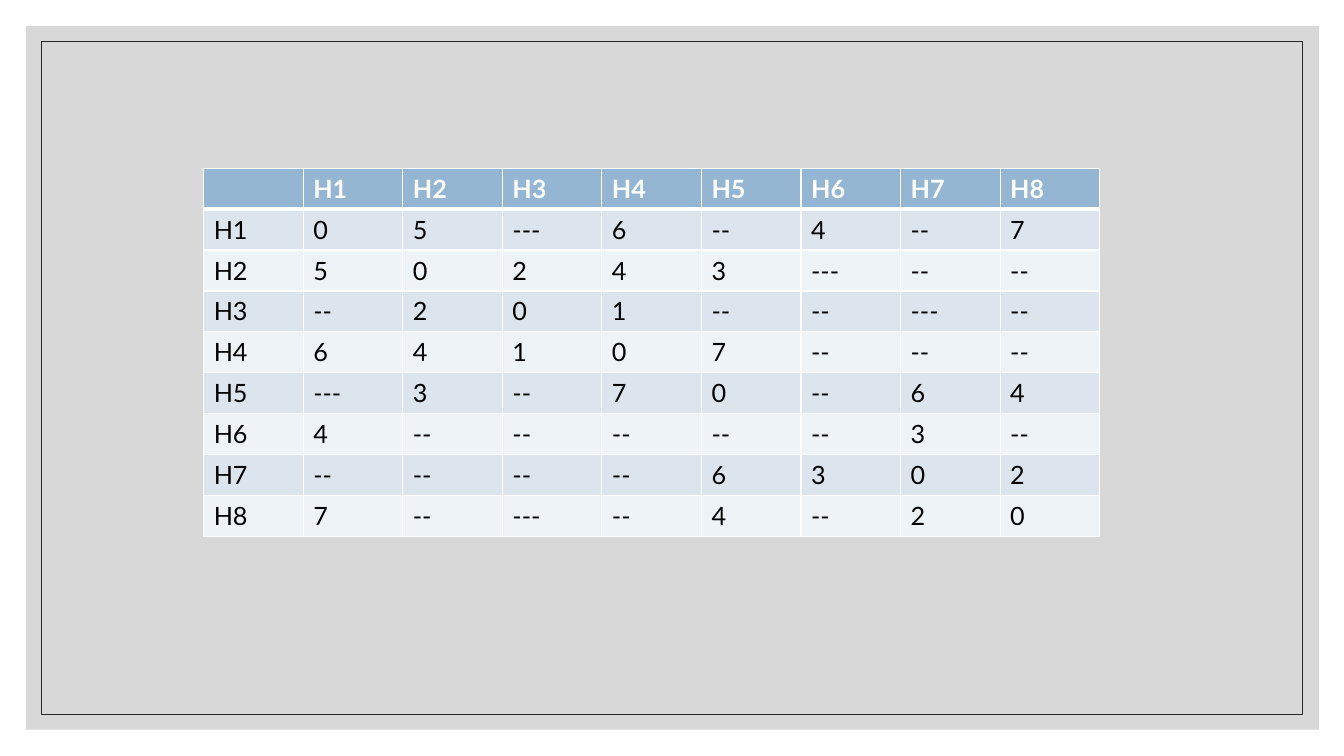
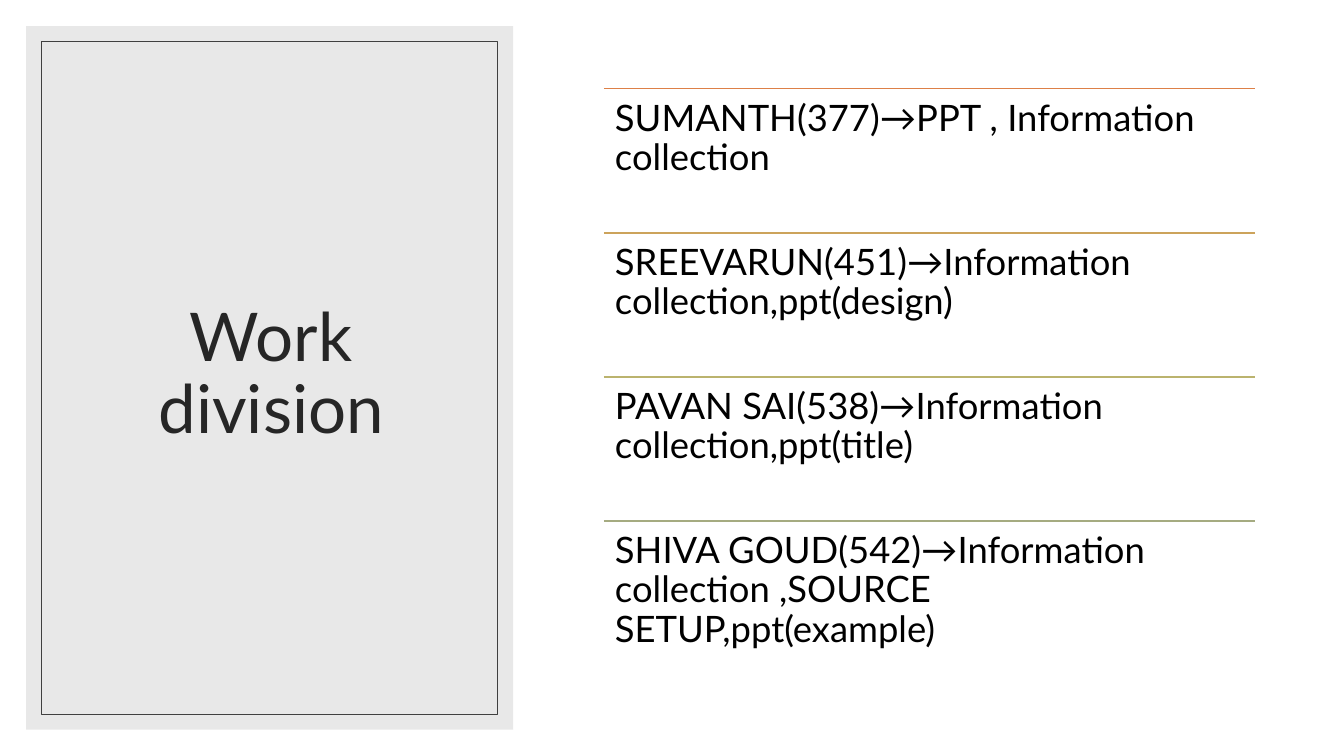
"""Build a distance table slide and a work division slide."""
import lxml.etree
import pptx
import pptx.dml.color
import pptx.enum.shapes
import pptx.enum.text
import pptx.oxml.ns
import pptx.util

Inches = pptx.util.Inches
Pt = pptx.util.Pt
ALIGN = pptx.enum.text.PP_ALIGN
ANCHOR = pptx.enum.text.MSO_ANCHOR
qn = pptx.oxml.ns.qn

FONT = "Lato"
WIDTH, HEIGHT = 13.33, 7.5
COLORS = {
    "white": "FFFFFF",
    "black": "000000",
    "ink": "262626",
    "frame": "404040",
    "backdrop": "BFBFBF",
    "sidebar": "D9D9D9",
    "header": "94B6D2",
    "band_dark": "DCE5EE",
    "band_light": "EEF3F7",
    "orange": "DD8047",
    "gold": "CCA35B",
    "olive": "BBB36E",
    "sage": "A5AB81",
}
DISTANCES = [
    "0 5 --- 6 -- 4 -- 7",
    "5 0 2 4 3 --- -- --",
    "-- 2 0 1 -- -- --- --",
    "6 4 1 0 7 -- -- --",
    "--- 3 -- 7 0 -- 6 4",
    "4 -- -- -- -- -- 3 --",
    "-- -- -- -- 6 3 0 2",
    "7 -- --- -- 4 -- 2 0",
]
TASKS = [
    ("orange", "SUMANTH(377)→PPT , Information collection"),
    ("gold", "SREEVARUN(451)→Information collection,ppt(design)"),
    ("olive", "PAVAN SAI(538)→Information collection,ppt(title)"),
    ("sage", "SHIVA GOUD(542)→Information collection ,SOURCE SETUP,ppt(example)"),
]


def rgb(name):
    return pptx.dml.color.RGBColor.from_string(COLORS[name])


def write(tf, text, size=18, color="black", bold=False, align=ALIGN.LEFT,
          spacing=1.0, after=0):
    p = tf.paragraphs[0]
    p.alignment = align
    p.line_spacing = spacing
    p.space_after = Pt(after)
    r = p.add_run()
    r.text = text
    r.font.name = FONT
    r.font.size = Pt(size)
    r.font.bold = bold
    r.font.color.rgb = rgb(color)


class Deck:
    def __init__(self):
        self.prs = pptx.Presentation()
        self.prs.slide_width = Inches(WIDTH)
        self.prs.slide_height = Inches(HEIGHT)
        self.s = None

    def slide(self):
        self.s = self.prs.slides.add_slide(self.prs.slide_layouts[6])
        fill = self.s.background.fill
        fill.solid()
        fill.fore_color.rgb = rgb("white")

    def rect(self, x, y, w, h, fill=None, alpha=100, line=None):
        sp = self.s.shapes.add_shape(
            pptx.enum.shapes.MSO_SHAPE.RECTANGLE,
            Inches(x), Inches(y), Inches(w), Inches(h))
        sp.shadow.inherit = False
        if fill:
            sp.fill.solid()
            sp.fill.fore_color.rgb = rgb(fill)
            if alpha < 100:
                clr = sp.fill._xPr.find(".//" + qn("a:srgbClr"))
                lxml.etree.SubElement(clr, qn("a:alpha"), val=str(alpha * 1000))
        else:
            sp.fill.background()
        if line:
            sp.line.color.rgb = rgb(line)
            sp.line.width = Pt(0.5)
        else:
            sp.line.fill.background()

    def panel(self, w, fill, line):
        self.rect(0.26, 0.26, w, 6.98, fill=fill, alpha=60)
        self.rect(0.41, 0.41, w - 0.31, 6.68, line=line)

    def text(self, x, y, w, h, text, inset=0.11, anchor=ANCHOR.TOP, **fmt):
        sp = self.s.shapes.add_textbox(Inches(x), Inches(y), Inches(w), Inches(h))
        tf = sp.text_frame
        tf.word_wrap = True
        tf.vertical_anchor = anchor
        tf.margin_left = tf.margin_right = Inches(inset)
        tf.margin_top = tf.margin_bottom = Inches(inset)
        write(tf, text, **fmt)

    def rule(self, x, y, w, color):
        sp = self.s.shapes.add_connector(
            pptx.enum.shapes.MSO_CONNECTOR.STRAIGHT,
            Inches(x), Inches(y), Inches(x + w), Inches(y))
        sp.line.color.rgb = rgb(color)
        sp.line.width = Pt(1)
        lxml.etree.SubElement(sp._element.spPr, qn("a:effectLst"))

    def border(self, cell, **widths):
        tc_pr = cell._tc.get_or_add_tcPr()
        for side in "LRTB":
            ln = lxml.etree.SubElement(
                tc_pr, qn("a:ln" + side), w=str(Pt(widths.get(side, 1))))
            solid = lxml.etree.SubElement(ln, qn("a:solidFill"))
            lxml.etree.SubElement(solid, qn("a:srgbClr"), val=COLORS["white"])

    def table(self, x, y, w, h, rows):
        n_rows, n_cols = len(rows), len(rows[0])
        tbl = self.s.shapes.add_table(
            n_rows, n_cols, Inches(x), Inches(y), Inches(w), Inches(h)).table
        tbl.horz_banding = False
        for i, row in enumerate(rows):
            head = i == 0
            fill = "header" if head else "band_dark" if i % 2 else "band_light"
            for j, value in enumerate(row):
                cell = tbl.cell(i, j)
                self.border(cell, T=3 if i == 1 else 1, B=3 if head else 1)
                cell.fill.solid()
                cell.fill.fore_color.rgb = rgb(fill)
                if value:
                    write(cell.text_frame, value, bold=head,
                          color="white" if head else "black")


def distance_slide(deck):
    deck.slide()
    deck.panel(12.82, "backdrop", "ink")
    names = [f"H{n}" for n in range(1, len(DISTANCES) + 1)]
    rows = [[""] + names]
    rows += [[name] + line.split() for name, line in zip(names, DISTANCES)]
    deck.table(2.02, 1.67, 8.89, 3.65, rows)


def work_slide(deck):
    deck.slide()
    deck.rect(0, 0, WIDTH, HEIGHT, fill="white")
    deck.panel(4.83, "sidebar", "frame")
    deck.text(0.63, 0.61, 4.12, 6.24, "Work division", inset=0.2,
              anchor=ANCHOR.MIDDLE, size=48, color="ink",
              align=ALIGN.CENTER, spacing=0.9, after=6)
    x, top, w, step = 5.99, 0.88, 6.46, 1.43
    for i, (color, task) in enumerate(TASKS):
        y = top + i * step
        deck.rule(x, y, w, color)
        deck.text(x, y, w, step, task, size=26, spacing=0.9)


def main():
    deck = Deck()
    distance_slide(deck)
    work_slide(deck)
    deck.prs.save("out.pptx")


if __name__ == "__main__":
    main()
